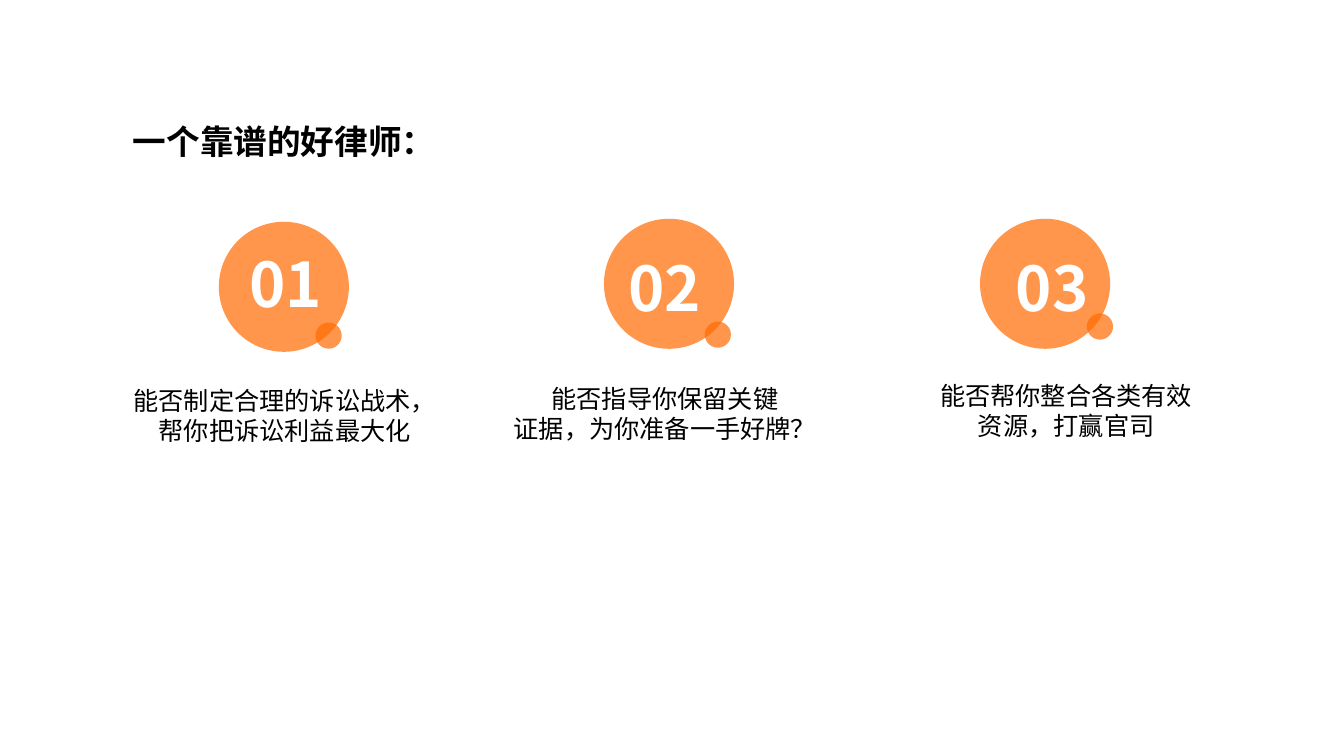
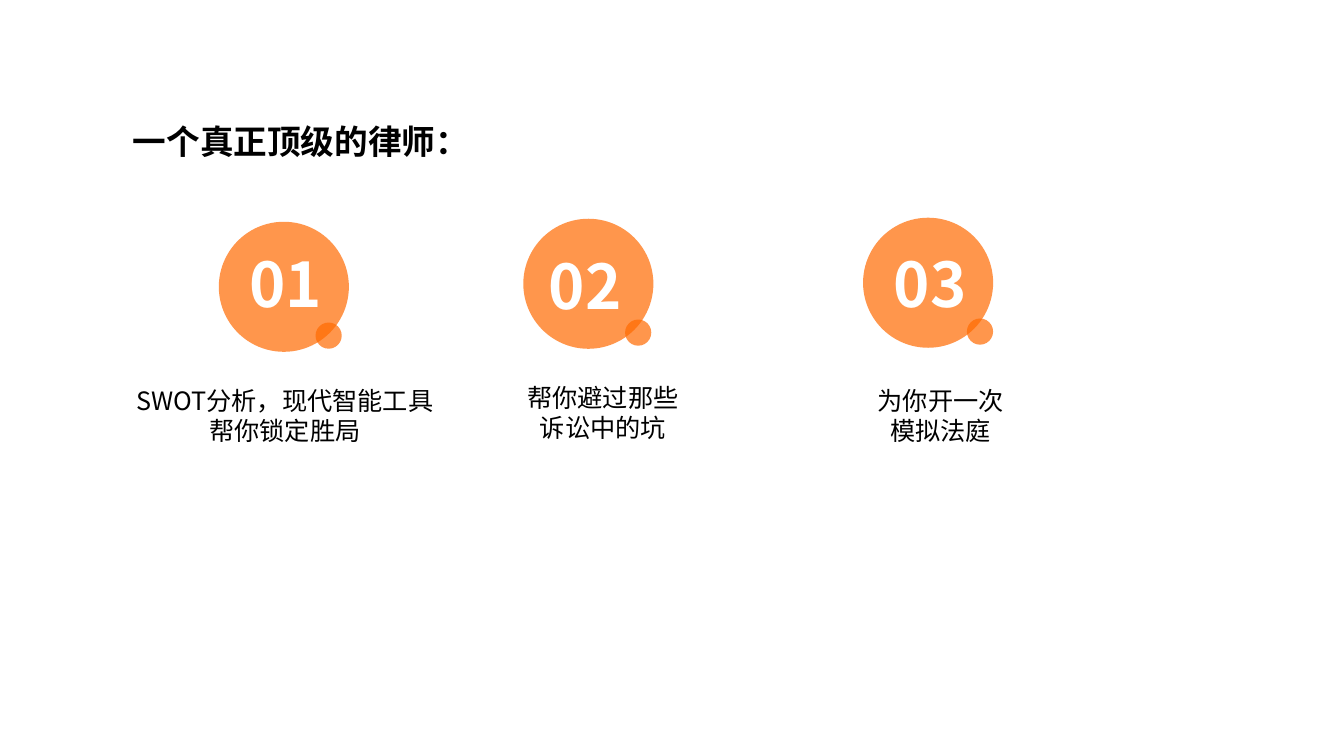
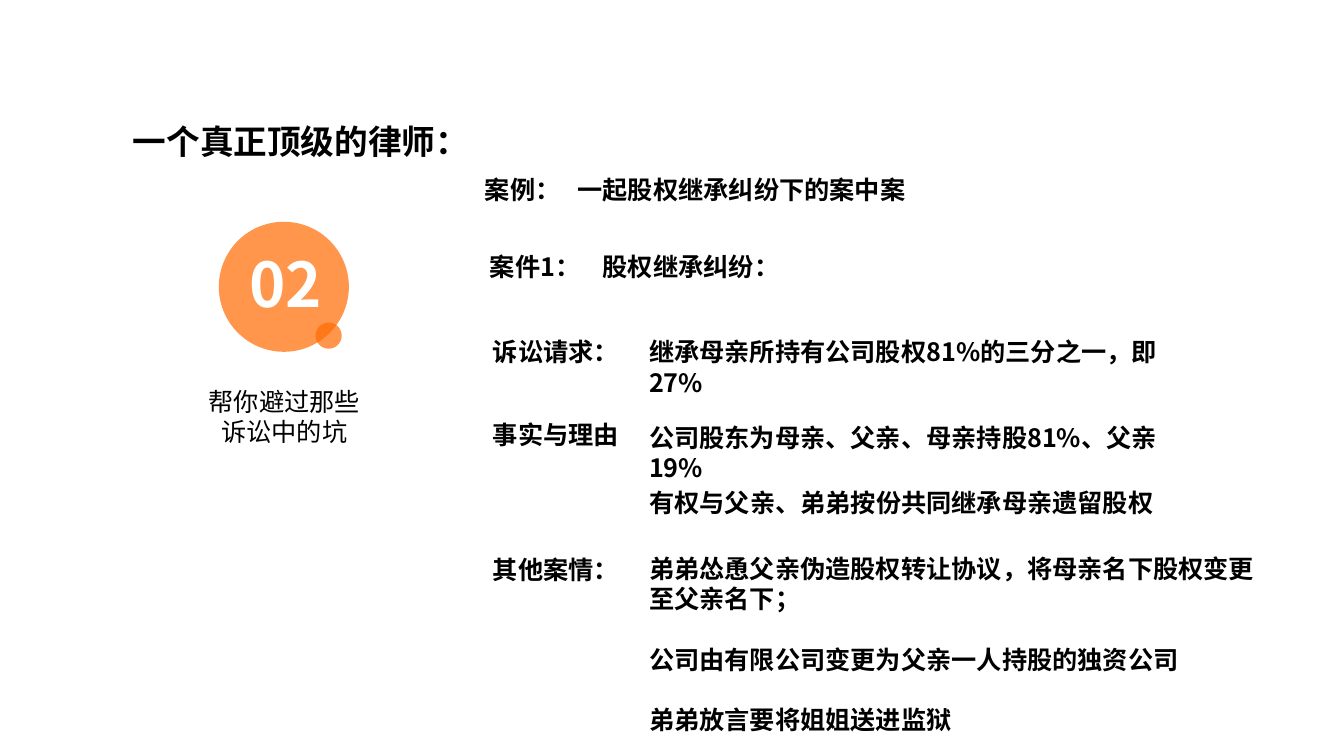
from typing import NamedTuple

from lxml import etree
from pptx import Presentation
from pptx.dml.color import RGBColor
from pptx.enum.shapes import MSO_SHAPE
from pptx.enum.text import PP_ALIGN
from pptx.oxml.ns import qn
from pptx.util import Inches, Pt

ORANGE = RGBColor(0xFF, 0x6A, 0x00)
BLACK = RGBColor(0x00, 0x00, 0x00)
WHITE = RGBColor(0xFF, 0xFF, 0xFF)
FONT = "Noto Sans CJK SC"
BODY_SIZE = 18
LINE_HEIGHT = 1.2


class Badge(NamedTuple):
    """Left and top of the disc, its number and its small dot."""
    disc: tuple
    number: tuple
    dot: tuple


LEFT_BADGE = Badge((2.17, 2.2), (2.31, 2.39), (3.13, 3.2))


class Deck:
    def __init__(self):
        self.presentation = Presentation()
        self.presentation.slide_width = Inches(13.33)
        self.presentation.slide_height = Inches(7.5)
        self.slide = None

    def new_slide(self, title):
        blank = self.presentation.slide_layouts[6]
        self.slide = self.presentation.slides.add_slide(blank)
        self.text(title, 1.22, 1.15, 3.57, 0.5, size=24, bold=True)

    def text(self, content, left, top, width, height=0.4, size=BODY_SIZE, color=BLACK,
             bold=False, align=PP_ALIGN.LEFT, tab=None, gaps=()):
        """Write one paragraph per line; gaps names the lines that follow a free line."""
        box = self.slide.shapes.add_textbox(
            Inches(left), Inches(top), Inches(width), Inches(height))
        frame = box.text_frame
        frame.word_wrap = True
        for index, line in enumerate(content.split("\n")):
            paragraph = frame.paragraphs[0] if index == 0 else frame.add_paragraph()
            paragraph.alignment = align
            paragraph.line_spacing = Pt(size * LINE_HEIGHT)
            if index in gaps:
                paragraph.space_before = Pt(size * LINE_HEIGHT)
            if tab:
                stops = etree.SubElement(paragraph._p.get_or_add_pPr(), qn("a:tabLst"))
                etree.SubElement(stops, qn("a:tab"), pos=str(Inches(tab)), algn="l")
            run = paragraph.add_run()
            run.text = line
            run.font.name = FONT
            run.font.size = Pt(size)
            run.font.bold = bold
            run.font.color.rgb = color
            east_asian = etree.SubElement(run._r.get_or_add_rPr(), qn("a:ea"))
            east_asian.set("typeface", FONT)

    def circle(self, left, top, diameter):
        circle = self.slide.shapes.add_shape(
            MSO_SHAPE.OVAL, Inches(left), Inches(top), Inches(diameter), Inches(diameter))
        circle.shadow.inherit = False
        circle.line.fill.background()
        circle.fill.solid()
        circle.fill.fore_color.rgb = ORANGE
        color = circle.fill._xPr.find(f"{qn('a:solidFill')}/{qn('a:srgbClr')}")
        etree.SubElement(color, qn("a:alpha"), val="70000")

    def point(self, number, badge, caption, left, top, width):
        """Draw a numbered badge with its caption below."""
        self.circle(*badge.disc, 1.29)
        self.circle(*badge.dot, 0.26)
        self.text(number, *badge.number, 1.05, 0.84, size=44, color=WHITE,
                  bold=True, align=PP_ALIGN.CENTER)
        self.text(caption, left, top, width, 0.71, align=PP_ALIGN.CENTER)


def reliable_lawyer(deck):
    deck.new_slide("一个靠谱的好律师：")
    deck.point("01", LEFT_BADGE, "能否制定合理的诉讼战术，\n帮你把诉讼利益最大化",
               1.21, 3.77, 3.23)
    deck.point("02", Badge((5.99, 2.17), (6.07, 2.43), (6.99, 3.19)),
               "能否指导你保留关键\n证据，为你准备一手好牌？", 4.98, 3.75, 3.23)
    deck.point("03", Badge((9.72, 2.17), (9.91, 2.43), (10.78, 3.11)),
               "能否帮你整合各类有效\n资源，打赢官司", 9.21, 3.72, 2.73)


def top_lawyer(deck):
    deck.new_slide("一个真正顶级的律师：")
    deck.point("01", LEFT_BADGE, "SWOT分析，现代智能工具\n帮你锁定胜局", 1.24, 3.77, 3.17)
    deck.point("02", Badge((5.19, 2.17), (5.28, 2.41), (6.2, 3.17)),
               "帮你避过那些\n诉讼中的坑", 5.09, 3.74, 1.78)
    deck.point("03", Badge((8.56, 2.16), (8.7, 2.39), (9.59, 3.16)),
               "为你开一次\n模拟法庭", 8.6, 3.77, 1.46)


def inheritance_case(deck):
    deck.new_slide("一个真正顶级的律师：")
    deck.point("02", LEFT_BADGE, "帮你避过那些\n诉讼中的坑", 1.93, 3.78, 1.78)
    deck.text("案例：\t一起股权继承纠纷下的案中案", 4.71, 1.68, 4.45, bold=True, tab=0.92)
    deck.text("案件1：\t股权继承纠纷：", 4.76, 2.44, 3.08, bold=True, tab=1.12)

    for label, top in (("诉讼请求：", 3.29), ("事实与理由", 4.11), ("其他案情：", 5.45)):
        deck.text(label, 4.79, top, 1.46, bold=True)

    detail_left = 6.34
    details = (
        ("继承母亲所持有公司股权81%的三分之一，即27%", 3.29, 5.56),
        ("公司股东为母亲、父亲、母亲持股81%、父亲19%", 4.14, 5.53),
        ("有权与父亲、弟弟按份共同继承母亲遗留股权", 4.79, 5.25),
    )
    for detail, top, width in details:
        deck.text(detail, detail_left, top, width, bold=True)
    deck.text("弟弟怂恿父亲伪造股权转让协议，将母亲名下股权变更\n至父亲名下；\n"
              "公司由有限公司变更为父亲一人持股的独资公司\n弟弟放言要将姐姐送进监狱",
              detail_left, 5.44, 6.26, 1.92, bold=True, gaps=(2, 3))


def main():
    deck = Deck()
    reliable_lawyer(deck)
    top_lawyer(deck)
    inheritance_case(deck)
    deck.presentation.save("out.pptx")


if __name__ == "__main__":
    main()
